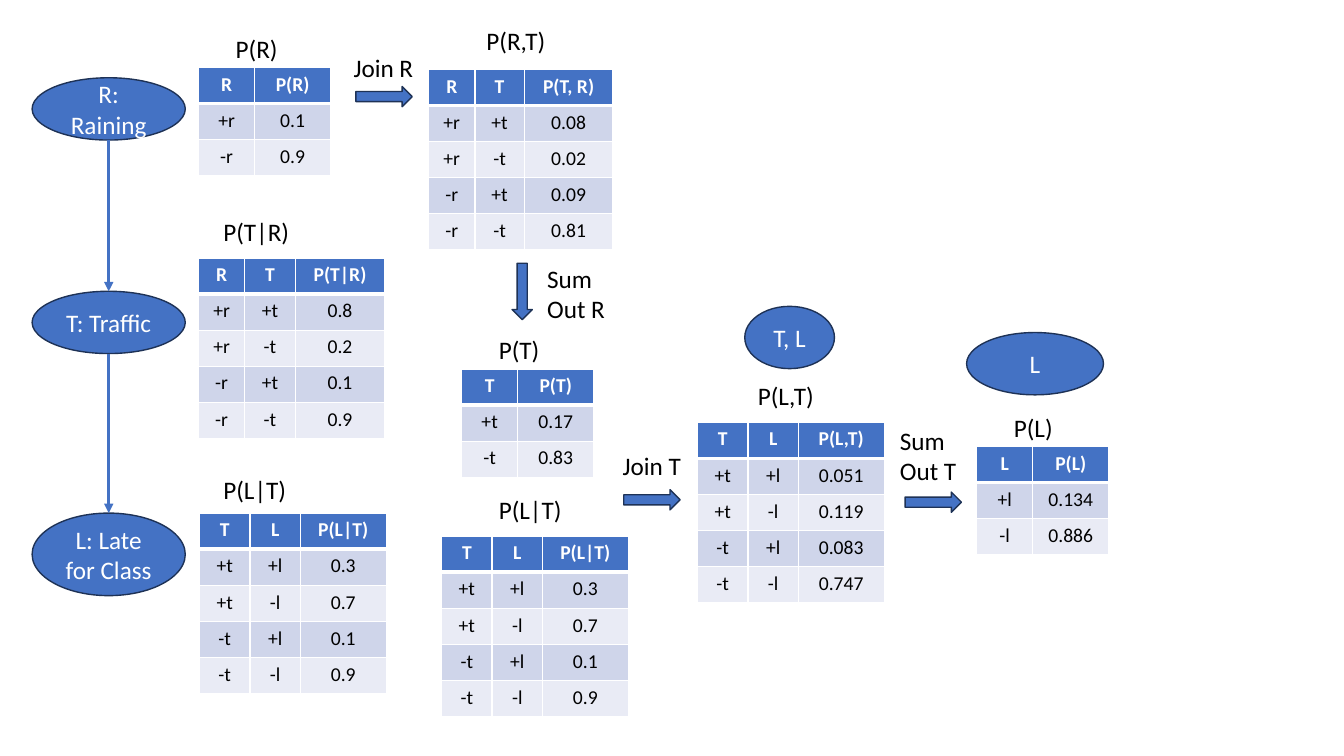
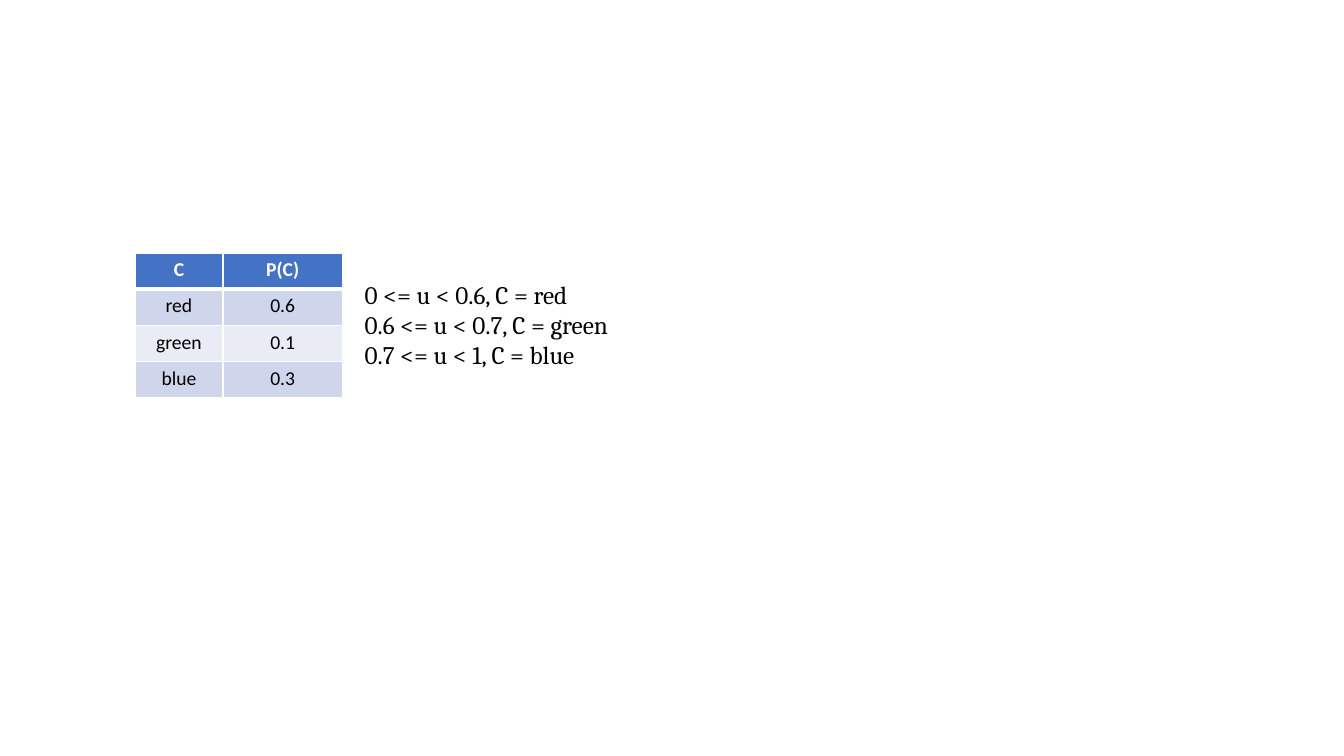
from itertools import product

from lxml.etree import SubElement
from pptx import Presentation
from pptx.dml.color import RGBColor
from pptx.enum.shapes import MSO_CONNECTOR, MSO_SHAPE
from pptx.enum.text import MSO_ANCHOR, MSO_AUTO_SIZE, PP_ALIGN
from pptx.oxml.ns import qn
from pptx.util import Cm, Pt


def paint(target, color):
    target.solid()
    target.fore_color.rgb = RGBColor.from_string(color)


def write(frame, text, size=18, color="000000", bold=False, font="Calibri", align=PP_ALIGN.LEFT):
    for index, line in enumerate(text.split("\n")):
        para = frame.paragraphs[0] if index == 0 else frame.add_paragraph()
        para.alignment = align
        span = para.add_run()
        span.text = line
        span.font.name = font
        span.font.size = Pt(size)
        span.font.bold = bold
        paint(span.font.fill, color)


def signed_rows(names, values):
    keys = product(*[("+" + name.lower(), "-" + name.lower()) for name in names])
    return [(*key, value) for key, value in zip(keys, values)]


class Sketch:
    BLUE = "4472C4"
    EDGE = "1E3256"
    WHITE = "FFFFFF"
    STRIPES = ("CFD5EA", "E9EBF5")
    ROW_HEIGHT = 0.91
    LINE_HEIGHT = 0.77

    def __init__(self):
        self.deck = Presentation()
        self.deck.slide_width = Cm(33.87)
        self.deck.slide_height = Cm(19.05)
        self.page = None

    def new_page(self):
        self.page = self.deck.slides.add_slide(self.deck.slide_layouts[6])

    def shape(self, kind, left, top, width, height):
        shape = self.page.shapes.add_shape(kind, Cm(left), Cm(top), Cm(width), Cm(height))
        shape.shadow.inherit = False
        paint(shape.fill, self.BLUE)
        paint(shape.line.fill, self.EDGE)
        shape.line.width = Pt(1)
        return shape

    def node(self, text, left, top, width=3.86, height=1.57):
        oval = self.shape(MSO_SHAPE.OVAL, left, top, width, height)
        oval.text_frame.word_wrap = True
        oval.text_frame.vertical_anchor = MSO_ANCHOR.MIDDLE
        write(oval.text_frame, text, color=self.WHITE, align=PP_ALIGN.CENTER)
        return oval

    def block_arrow(self, left, top, rotation=0):
        arrow = self.shape(MSO_SHAPE.RIGHT_ARROW, left, top, 1.42, 0.51)
        arrow.rotation = rotation

    def edge(self, parent, child):
        center = parent.left + parent.width // 2
        line = self.page.shapes.add_connector(
            MSO_CONNECTOR.STRAIGHT, center, parent.top + parent.height, center, child.top)
        paint(line.line.fill, self.BLUE)
        line.line.width = Pt(2.25)
        SubElement(line.line._get_or_add_ln(), qn("a:tailEnd"), type="triangle")
        SubElement(line._element.spPr, qn("a:effectLst"))

    def label(self, text, left, top, width, font="Calibri"):
        height = 0.26 + self.LINE_HEIGHT * len(text.split("\n"))
        box = self.page.shapes.add_textbox(Cm(left), Cm(top), Cm(width), Cm(height))
        box.text_frame.word_wrap = False
        box.text_frame.auto_size = MSO_AUTO_SIZE.SHAPE_TO_FIT_TEXT
        write(box.text_frame, text, font=font)

    def border(self, cell, side, width):
        line = SubElement(cell._tc.get_or_add_tcPr(), qn("a:ln" + side), w=str(Pt(width)))
        fill = SubElement(line, qn("a:solidFill"))
        SubElement(fill, qn("a:srgbClr"), val=self.WHITE)

    def table(self, left, top, widths, heads, rows):
        lines = [heads, *rows]
        table = self.page.shapes.add_table(
            len(lines), len(heads), Cm(left), Cm(top),
            Cm(sum(widths)), Cm(self.ROW_HEIGHT * len(lines))).table
        for column, width in zip(table.columns, widths):
            column.width = Cm(width)
        for index, line in enumerate(lines):
            table.rows[index].height = Cm(self.ROW_HEIGHT)
            header = index == 0
            for position, text in enumerate(line):
                cell = table.cell(index, position)
                self.border(cell, "L", 1)
                self.border(cell, "R", 1)
                self.border(cell, "T", 3 if index == 1 else 1)
                self.border(cell, "B", 3 if header else 1)
                paint(cell.fill, self.BLUE if header else self.STRIPES[(index - 1) % 2])
                write(cell.text_frame, text, size=14, bold=header,
                      color=self.WHITE if header else "000000", align=PP_ALIGN.CENTER)


SINGLE = (1.42, 1.91)
PAIR = (1.27, 1.27, 2.16)
LATE_GIVEN_TRAFFIC = ("0.3", "0.7", "0.1", "0.9")

FACTORS = [
    (5, 1.7, SINGLE, "R", "P(R)", ("0.1", "0.9")),
    (5, 6.5, (1.17, 1.27, 2.26), "RT", "P(T|R)", ("0.8", "0.2", "0.1", "0.9")),
    (10.8, 1.75, (1.17, 1.24, 2.24), "RT", "P(T, R)", ("0.08", "0.02", "0.09", "0.81")),
    (5.03, 12.93, PAIR, "TL", "P(L|T)", LATE_GIVEN_TRAFFIC),
    (11.13, 13.51, PAIR, "TL", "P(L|T)", LATE_GIVEN_TRAFFIC),
    (11.63, 9.3, SINGLE, "T", "P(T)", ("0.17", "0.83")),
    (17.58, 10.64, PAIR, "TL", "P(L,T)", ("0.051", "0.119", "0.083", "0.747")),
    (24.61, 11.25, SINGLE, "L", "P(L)", ("0.134", "0.886")),
]

LABELS = [
    ("P(R)", 5.69, 0.71, 1.57),
    ("P(T|R)", 5.38, 5.33, 2.18),
    ("P(R,T)", 12.01, 0.51, 2.01),
    ("P(L|T)", 5.38, 11.84, 2.11),
    ("P(L|T)", 12.32, 12.34, 2.11),
    ("P(T)", 12.32, 8.31, 1.55),
    ("P(L,T)", 18.85, 9.45, 1.93),
    ("P(L)", 25.3, 10.26, 1.5),
    ("Join R", 8.66, 1.19, 2.03),
    ("Join T", 15.44, 11.23, 2.01),
    ("Sum\nOut R", 13.54, 6.5, 1.98),
    ("Sum\nOut T", 22.43, 10.59, 1.96),
]


def elimination_page(sketch):
    sketch.new_page()
    raining = sketch.node("R: Raining", 0.81, 1.96)
    traffic = sketch.node("T: Traffic", 0.81, 7.34)
    late = sketch.node("L: Late for Class", 0.81, 12.93, height=2.08)
    sketch.edge(raining, traffic)
    sketch.edge(traffic, late)
    sketch.node("T, L", 18.77, 7.72, width=2.26)
    sketch.node("L", 24.36, 8.38, width=3.45)
    for left, top, widths, names, title, values in FACTORS:
        sketch.table(left, top, widths, (*names, title), signed_rows(names, values))
    for label in LABELS:
        sketch.label(*label)
    sketch.block_arrow(8.97, 2.18)
    sketch.block_arrow(12.45, 7.09, rotation=90)
    sketch.block_arrow(15.72, 12.34)
    sketch.block_arrow(22.81, 12.4)


def sampling_page(sketch):
    sketch.new_page()
    colors = [("red", "0.6"), ("green", "0.1"), ("blue", "0.3")]
    sketch.table(3.4, 6.38, (2.22, 3.01), ("C", "P(C)"), colors)
    sketch.label("0 <= u < 0.6, C = red\n0.6 <= u < 0.7, C = green\n0.7 <= u < 1, C = blue",
                 8.94, 6.91, 7.04, font="Cambria")


def main():
    sketch = Sketch()
    elimination_page(sketch)
    sampling_page(sketch)
    sketch.deck.save("out.pptx")


if __name__ == "__main__":
    main()
